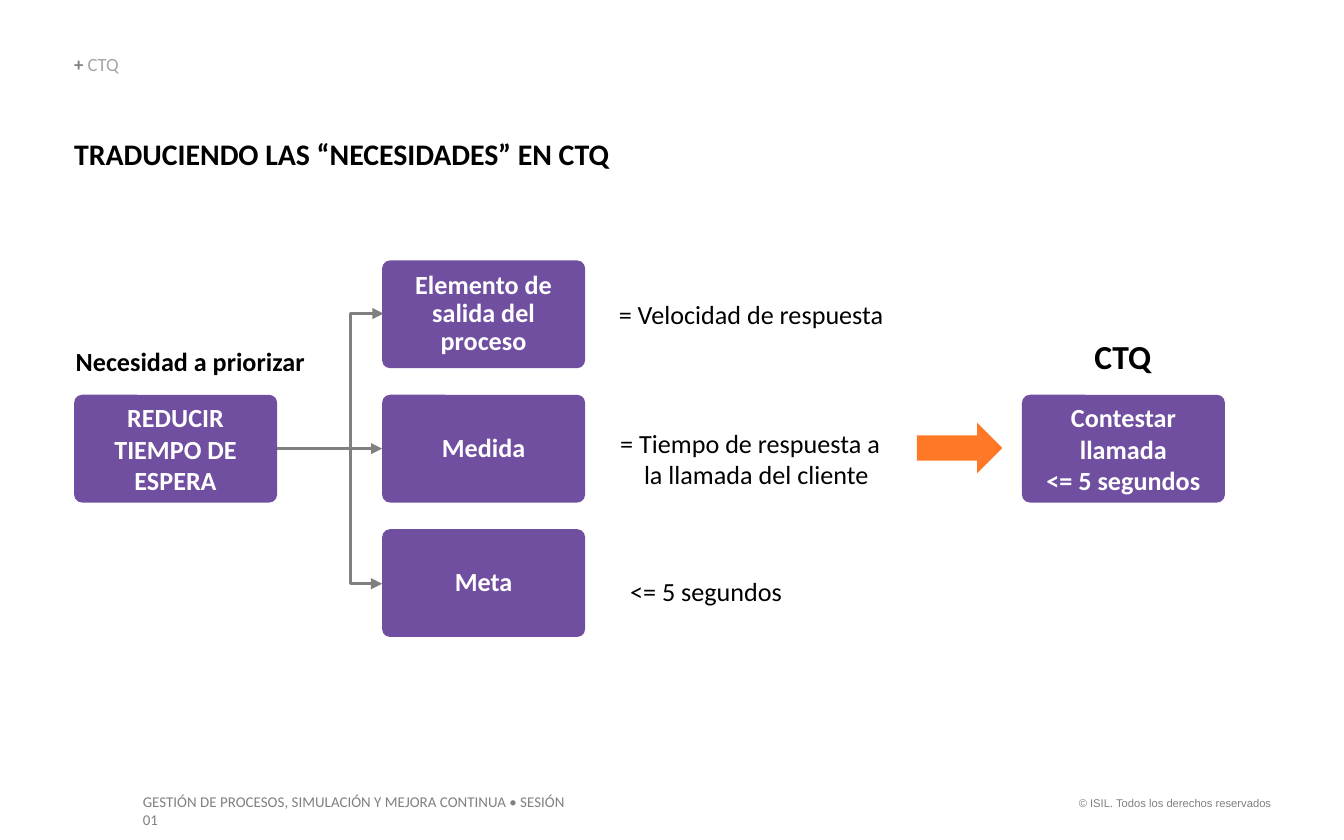
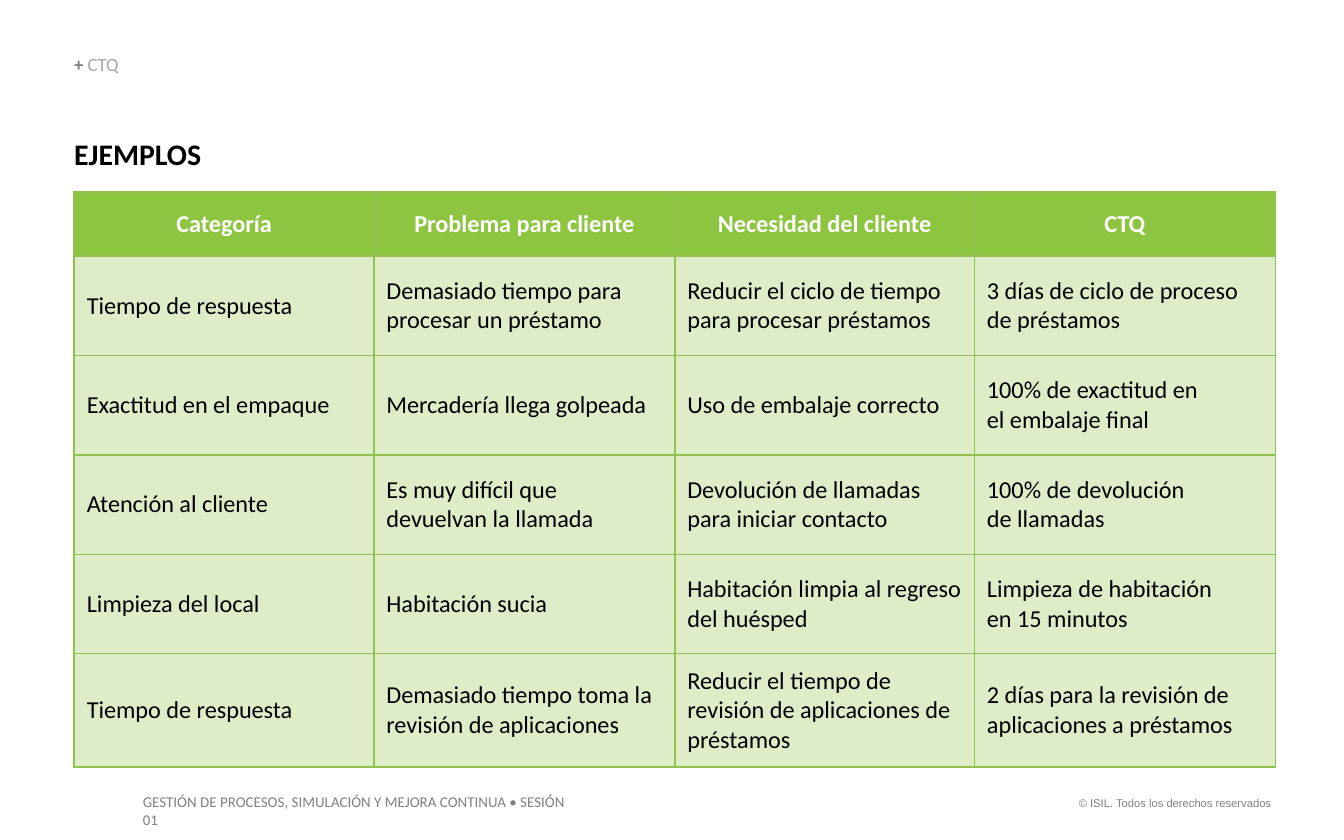
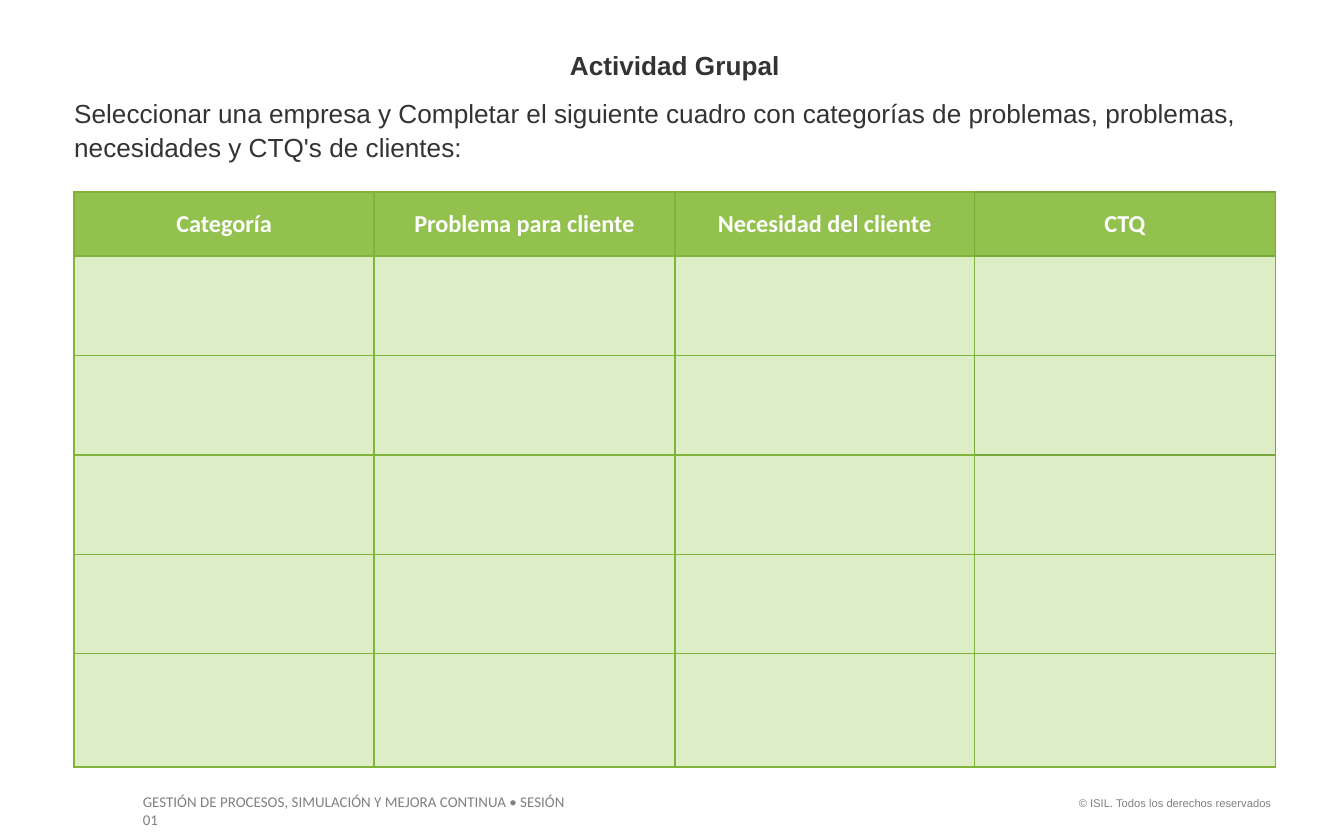
from lxml.etree import SubElement
from pptx import Presentation
from pptx.dml.color import RGBColor
from pptx.enum.shapes import MSO_CONNECTOR, MSO_SHAPE
from pptx.enum.text import MSO_ANCHOR, MSO_AUTO_SIZE, PP_ALIGN
from pptx.oxml.ns import qn
from pptx.util import Pt

PX = 9525  # EMU in one px, 96 px to the inch
LEFT, MID, RIGHT = PP_ALIGN.LEFT, PP_ALIGN.CENTER, PP_ALIGN.RIGHT
PURPLE, ORANGE, GRAY, PALE = "714FA0", "FE7828", "808080", "A6A6A6"
BLACK, WHITE, INK = "000000", "FFFFFF", "333333"


def paint(fill, tone):
    fill.solid()
    fill.fore_color.rgb = RGBColor.from_string(tone)


def say(item, text, size=14, tone=BLACK, bold=False, face="Calibri", align=LEFT,
        anchor=MSO_ANCHOR.TOP, pad=0, space=1.0, left=0, first=0):
    """Write text: a newline starts a paragraph, a vertical tab breaks a line."""
    frame = item.text_frame
    frame.word_wrap = True
    frame.auto_size = MSO_AUTO_SIZE.NONE
    frame.vertical_anchor = anchor
    frame.margin_left = frame.margin_right = 2 * pad * PX
    frame.margin_top = frame.margin_bottom = pad * PX
    frame.text = text
    for para in frame.paragraphs:
        para.alignment, para.line_spacing = align, space
        if left:
            props = para._p.get_or_add_pPr()
            props.set("marL", str(left * PX))
            props.set("indent", str(first * PX))
        for run in para.runs:
            run.font.name, run.font.size, run.font.bold = face, Pt(size), bold
            paint(run.font.fill, tone)
        for gap in para._p.findall(qn("a:br")):
            SubElement(gap, qn("a:rPr"), sz=str(size * 100))
    return frame


deck = Presentation()
deck.slide_width, deck.slide_height = 960 * PX, 600 * PX
plain = deck.slide_layouts[5]
flow, cases, task = pages = [deck.slides.add_slide(plain) for _ in range(3)]

# Shared footers, kept on the layout
feet = [
    (92, 561, 328, 23, "GESTIÓN DE PROCESOS, SIMULACIÓN Y MEJORA CONTINUA • SESIÓN 01",
     dict(size=8)),
    (756, 564, 162, 19, "© ISIL. Todos los derechos reservados",
     dict(size=6, face="Arial", align=RIGHT)),
]
for num, (x, y, w, h, text, look) in enumerate(feet, 20):
    foot = flow.shapes.add_textbox(x * PX, y * PX, w * PX, h * PX)
    say(foot, text, tone=GRAY, pad=5, **look)
    foot.element.nvSpPr.cNvPr.set("id", str(num))
    plain.shapes.element.append(foot.element)

# Titles
heads = [
    (97, 763, 26, "TRADUCIENDO LAS “NECESIDADES” EN CTQ", dict(size=16)),
    (97, 763, 26, "EJEMPLOS", dict(size=16)),
    (34, 858, 24, "Actividad Grupal",
     dict(face="Arial", tone=INK, align=MID, space=1.07)),
]
for page, (y, w, h, text, look) in zip(pages, heads):
    head = page.shapes.title
    head.left, head.top, head.width, head.height = 53 * PX, y * PX, w * PX, h * PX
    say(head, text, bold=True, **look)

# Section marks
for page in (flow, cases):
    mark = page.shapes.add_textbox(53 * PX, 39 * PX, 255 * PX, 15 * PX)
    frame = say(mark, "+ ", size=10, tone=GRAY, bold=True, space=0.9,
                anchor=MSO_ANCHOR.BOTTOM)
    run = frame.paragraphs[0].add_run()
    run.text, run.font.name, run.font.size = "CTQ", "Calibri", Pt(10)
    paint(run.font.fill, PALE)

# Flow: labels
notes = [
    (53, 247, 166, 23, "Necesidad a priorizar", dict(bold=True, align=MID)),
    (442, 213, 211, 23, "= Velocidad de respuesta", {}),
    (442, 305, 189, 45, "= Tiempo de respuesta a la llamada del cliente",
     dict(left=18, first=-17)),
    (442, 411, 211, 23, "<= 5 segundos", dict(left=8)),
    (719, 240, 166, 29, "CTQ", dict(size=18, bold=True, align=MID)),
]
for x, y, w, h, text, look in notes:
    note = flow.shapes.add_textbox(x * PX, y * PX, w * PX, h * PX)
    say(note, text, **look)

# Flow: connectors, under the boxes
fork = flow.shapes.add_connector(
    MSO_CONNECTOR.ELBOW, 274 * PX, 224 * PX, 273 * PX, 417 * PX)
guides = fork.element.spPr.find(qn("a:prstGeom")).find(qn("a:avLst"))
SubElement(guides, qn("a:gd"), name="adj1", fmla="val 2400000")
link = flow.shapes.add_connector(
    MSO_CONNECTOR.STRAIGHT, 198 * PX, 320 * PX, 273 * PX, 320 * PX)
for wire, ends in ((fork, ("headEnd", "tailEnd")), (link, ("tailEnd",))):
    paint(wire.line.fill, GRAY)
    wire.line.width = Pt(1.5)
    for end in ends:
        SubElement(wire.line._get_or_add_ln(), qn("a:" + end), type="triangle")
    SubElement(wire.element.spPr, qn("a:effectLst"))

# Flow: boxes
steps = [
    (53, 282, "REDUCIR TIEMPO DE ESPERA", 1.0),
    (730, 282, "Contestar llamada\n<= 5 segundos", 1.0),
]
parts = ["Elemento de salida del proceso", "Medida", "Meta"]
steps += [(273, 186 + 96 * i, part, 0.9) for i, part in enumerate(parts)]
boxes = {}
for x, y, text, space in steps:
    box = flow.shapes.add_shape(
        MSO_SHAPE.ROUNDED_RECTANGLE, x * PX, y * PX, 145 * PX, 77 * PX)
    box.adjustments[0] = 0.074
    say(box, text, tone=WHITE, bold=True, align=MID, anchor=MSO_ANCHOR.MIDDLE,
        pad=5, space=space)
    boxes[text] = box, PURPLE
link.begin_connect(boxes[steps[0][2]][0], 3)
link.end_connect(boxes["Medida"][0], 1)

arrow = flow.shapes.add_shape(
    MSO_SHAPE.RIGHT_ARROW, 655 * PX, 302 * PX, 61 * PX, 36 * PX)
for shape, tone in [*boxes.values(), (arrow, ORANGE)]:
    shape.shadow.inherit = False
    shape.line.fill.background()
    paint(shape.fill, tone)

# Task: instructions
note = task.shapes.add_textbox(53 * PX, 68 * PX, 858 * PX, 50 * PX)
say(note, "Seleccionar una empresa y Completar el siguiente cuadro con categorías "
    "de problemas, problemas, necesidades y CTQ's de clientes:",
    face="Arial", tone=INK, space=1.07)

# Tables: the examples and the sheet to fill in
names = ["Categoría", "Problema para cliente", "Necesidad del cliente", "CTQ"]
facts = [
    ["Tiempo de respuesta", "Demasiado tiempo para procesar un préstamo",
     "Reducir el ciclo de tiempo para procesar préstamos",
     "3 días de ciclo de proceso de préstamos"],
    ["Exactitud en el empaque", "Mercadería llega golpeada",
     "Uso de embalaje correcto", "100% de exactitud en\vel embalaje final"],
    ["Atención al cliente", "Es muy difícil que devuelvan la llamada",
     "Devolución de llamadas para iniciar contacto",
     "100% de devolución\vde llamadas"],
    ["Limpieza del local", "Habitación sucia",
     "Habitación limpia al regreso del huésped",
     "Limpieza de habitación\ven 15 minutos"],
    ["Tiempo de respuesta", "Demasiado tiempo toma la revisión de aplicaciones",
     "Reducir el tiempo de revisión de aplicaciones de préstamos",
     "2 días para la revisión de aplicaciones a préstamos"],
]
blank = [[""] * 4 for _ in facts]
wide, high = [214, 215] * 2, [46] + [71] * 4 + [81]
sides = [("lnL", 0, -1), ("lnR", 0, 1), ("lnT", -1, 0), ("lnB", 1, 0)]
# Page, rows, header fill, body fill, border, dark border, cells with a dark border
grids = [
    (cases, facts, "8EC540", "DEEDC8", "92C14D", "92C14D", ()),
    (task, blank, "92C14D", "DDEEC7", "81B33B", "78A73B", ((0, 3), (2, 3))),
]
for page, rows, top, body, edge, dark, marks in grids:
    grid = page.shapes.add_table(
        6, 4, 53 * PX, 137 * PX, sum(wide) * PX, sum(high) * PX).table
    for col, w in zip(grid.columns, wide):
        col.width = w * PX
    for row, h in zip(grid.rows, high):
        row.height = h * PX
    for r, texts in enumerate([names] + rows):
        for c, text in enumerate(texts):
            cell = grid.cell(r, c)
            props = cell._tc.get_or_add_tcPr()
            for side, down, over in sides:
                near = (r, c) in marks or (r + down, c + over) in marks
                rule = SubElement(props, qn("a:" + side), w=str(Pt(1)))
                ink = SubElement(rule, qn("a:solidFill"))
                SubElement(ink, qn("a:srgbClr"), val=dark if near else edge)
            paint(cell.fill, body if r else top)
            cell.vertical_anchor = MSO_ANCHOR.MIDDLE
            cell.margin_left = cell.margin_right = 9 * PX
            cell.margin_top = cell.margin_bottom = 5 * PX
            if text:
                frame = cell.text_frame
                frame.text = text
                for para in frame.paragraphs:
                    para.alignment = LEFT if r else MID
                    for run in para.runs:
                        run.font.name, run.font.size = "Calibri", Pt(13)
                        run.font.bold = r == 0
                        paint(run.font.fill, BLACK if r else WHITE)
                    for gap in para._p.findall(qn("a:br")):
                        SubElement(gap, qn("a:rPr"), sz="1300")

deck.save("out.pptx")
